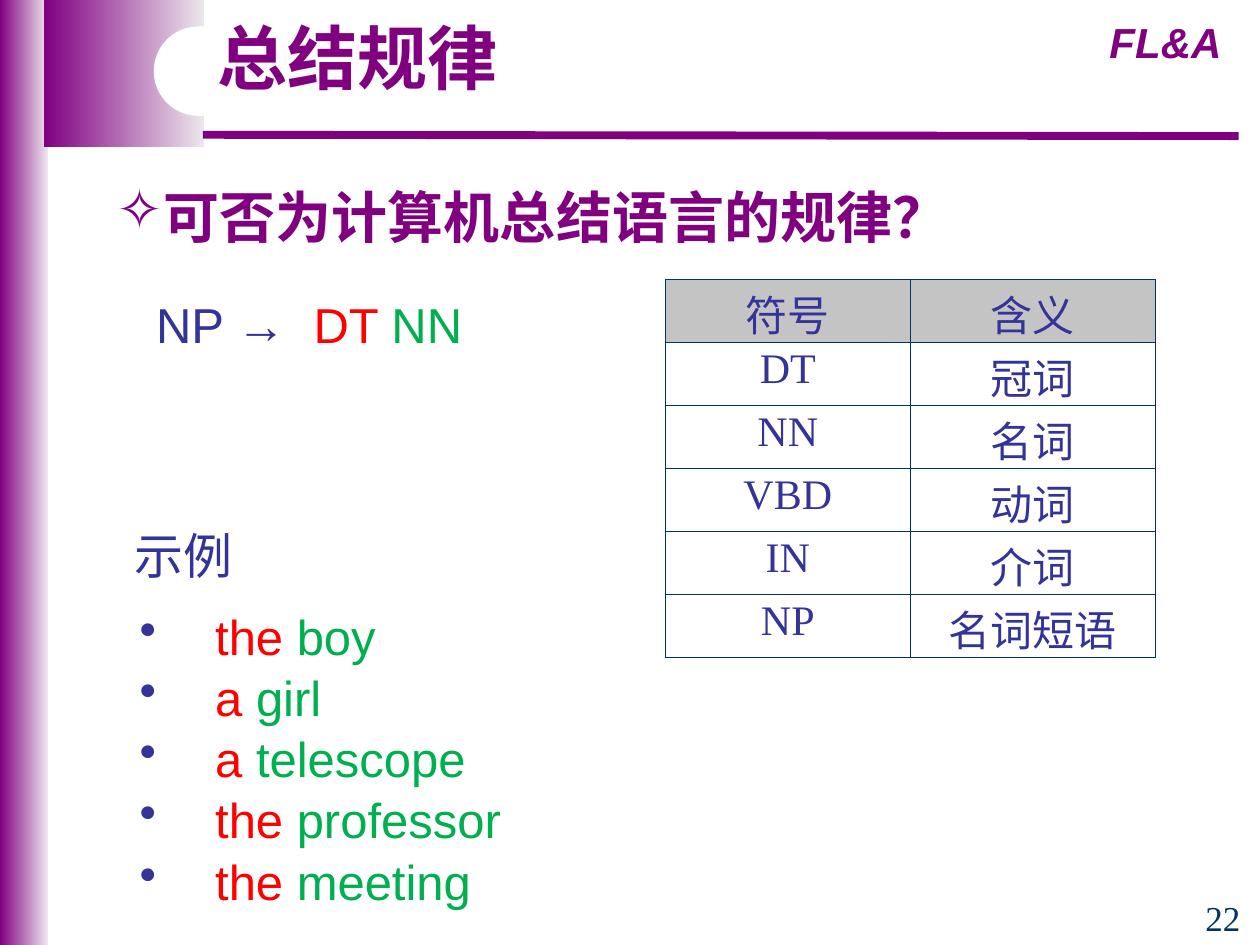
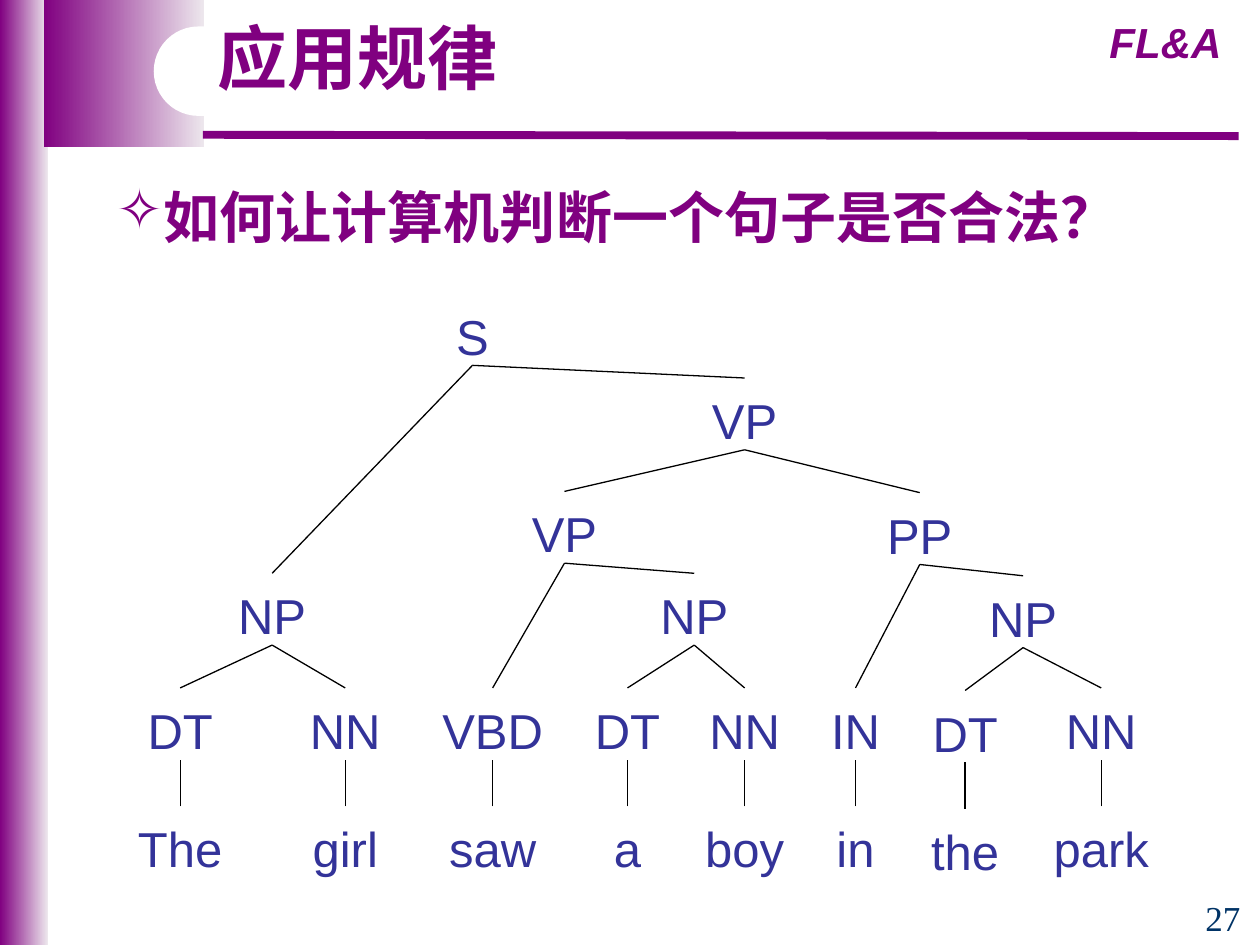
from dataclasses import dataclass
from typing import NamedTuple

from lxml.etree import SubElement
from pptx import Presentation
from pptx.dml.color import RGBColor
from pptx.enum.shapes import MSO_CONNECTOR, MSO_SHAPE
from pptx.enum.text import PP_ALIGN as Align
from pptx.oxml.ns import qn
from pptx.util import Inches, Pt


@dataclass(frozen=True)
class Theme:
    purple: str = "800080"
    pale: str = "EDE7ED"
    white: str = "FFFFFF"
    indigo: str = "333399"
    navy: str = "003366"
    red: str = "FF0000"
    green: str = "00B050"
    grey: str = "C4C4C4"
    black: str = "000000"
    sans: str = "Arial"
    serif: str = "Times New Roman"
    chinese: str = "Noto Sans CJK SC"
    title: int = 40
    heading: int = 32
    body: int = 28
    label: int = 24
    number: int = 20


THEME = Theme()


class Style(NamedTuple):
    size: int
    font: str
    color: str
    bold: bool = False
    italic: bool = False
    align: Align = Align.LEFT
    line_spacing: float = 1.0


class Span(NamedTuple):
    text: str
    color: str


class Area(NamedTuple):
    left: float
    top: float
    width: float
    height: float

    def lengths(self) -> list:
        return [Inches(value) for value in self]


class Node(NamedTuple):
    label: str
    x: float
    top: float
    children: tuple = ()


TITLE = Style(THEME.title, THEME.chinese, THEME.purple, bold=True, line_spacing=0.9)
HEADING = Style(THEME.heading, THEME.chinese, THEME.purple, bold=True)
COURSE = Style(THEME.label, THEME.sans, THEME.purple, True, True, Align.CENTER)
BODY = Style(THEME.body, THEME.sans, THEME.indigo)
TREE = BODY._replace(align=Align.CENTER)
EXAMPLE = Style(THEME.body, THEME.serif, THEME.indigo, align=Align.CENTER, line_spacing=0.9)
CELL = EXAMPLE._replace(size=THEME.label)
NUMBER = EXAMPLE._replace(size=THEME.number, color=THEME.navy)


def rgb(color: str) -> RGBColor:
    return RGBColor.from_string(color)


def style_paragraph(para, style: Style) -> None:
    para.alignment = style.align
    para.line_spacing = style.line_spacing
    font = para.font
    font.size, font.name = Pt(style.size), style.font
    font.bold, font.italic = style.bold, style.italic
    font.color.rgb = rgb(style.color)


def write_spans(para, spans: list[Span], style: Style) -> None:
    style_paragraph(para, style)
    for span in spans:
        run = para.add_run()
        run.text = span.text
        run.font.color.rgb = rgb(span.color)
        east_asian = SubElement(run.font._element, qn("a:ea"))
        east_asian.set("typeface", THEME.chinese)


def add_bullet(para, mark: str, color: str, indent: float) -> None:
    props = para._p.get_or_add_pPr()
    props.set("marL", str(Inches(indent)))
    props.set("indent", str(-Inches(indent)))
    bullet_color = SubElement(props, qn("a:buClr"))
    SubElement(bullet_color, qn("a:srgbClr")).set("val", color)
    SubElement(props, qn("a:buChar")).set("char", mark)


def add_tab(para, position: float) -> None:
    tabs = SubElement(para._p.get_or_add_pPr(), qn("a:tabLst"))
    tab = SubElement(tabs, qn("a:tab"))
    tab.set("pos", str(Inches(position)))
    tab.set("algn", "l")


def add_box(page, area: Area, inset: float = 0):
    box = page.shapes.add_textbox(*area.lengths())
    frame = box.text_frame
    frame.word_wrap = True
    frame.margin_top, frame.margin_bottom = Inches(inset), 0
    return box


def add_text(page, area: Area, text: str, style: Style, inset: float = 0):
    box = add_box(page, area, inset)
    write_spans(box.text_frame.paragraphs[0], [Span(text, style.color)], style)
    return box


def add_line(page, start: tuple, end: tuple, color: str, width: float):
    ends = [Inches(value) for value in (*start, *end)]
    line = page.shapes.add_connector(MSO_CONNECTOR.STRAIGHT, *ends)
    line.line.color.rgb = rgb(color)
    line.line.width = Pt(width)
    SubElement(line._element.spPr, qn("a:effectLst"))
    return line


def add_panel(page, kind: MSO_SHAPE, area: Area):
    panel = page.shapes.add_shape(kind, *area.lengths())
    panel.shadow.inherit = False
    panel.line.fill.background()
    return panel


def add_band(page, area: Area) -> None:
    fill = add_panel(page, MSO_SHAPE.RECTANGLE, area).fill
    fill.gradient()
    fill.gradient_angle = 0
    for stop, color in zip(fill.gradient_stops, (THEME.purple, THEME.pale)):
        stop.color.rgb = rgb(color)


def add_page(deck, title: str, heading: str, number: int):
    """Add a slide with the shared bands, title, heading and page number."""
    page = deck.slides.add_slide(deck.slide_layouts[6])
    add_band(page, Area(0, 0, 0.38, 7.5))
    add_band(page, Area(0.35, 0, 1.27, 1.17))
    add_line(page, (1.61, 1.07), (9.83, 1.08), THEME.purple, 4.5)
    add_text(page, Area(8.62, 0.13, 1.26, 0.42), "FL&A", COURSE)
    pill = add_panel(page, MSO_SHAPE.ROUNDED_RECTANGLE, Area(1.22, 0.21, 3.62, 0.71))
    pill.adjustments[0] = 0.5
    pill.fill.solid()
    pill.fill.fore_color.rgb = rgb(THEME.white)
    add_text(page, Area(1.63, 0.19, 4.24, 0.72), title, TITLE)
    box = add_box(page, Area(0.83, 1.45, 8.67, 0.64))
    para = box.text_frame.paragraphs[0]
    add_bullet(para, "✧", THEME.purple, 0.36)
    write_spans(para, [Span(heading, THEME.purple)], HEADING)
    add_text(page, Area(9.41, 7.15, 0.59, 0.33), str(number), NUMBER)
    return page


def add_borders(cell) -> None:
    props = cell._tc.get_or_add_tcPr()
    for side in ("lnL", "lnR", "lnT", "lnB"):
        border = SubElement(props, qn(f"a:{side}"))
        border.set("w", str(Pt(1)))
        fill = SubElement(border, qn("a:solidFill"))
        SubElement(fill, qn("a:srgbClr")).set("val", THEME.navy)


def add_symbol_table(page, rows: list[tuple], area: Area) -> None:
    table = page.shapes.add_table(len(rows), len(rows[0]), *area.lengths()).table
    table.first_row = table.horz_banding = False
    for row_index, row in enumerate(rows):
        for column_index, text in enumerate(row):
            cell = table.cell(row_index, column_index)
            cell.margin_top, cell.margin_bottom = Inches(0.06), 0
            add_borders(cell)
            if row_index == 0:
                cell.fill.solid()
                cell.fill.fore_color.rgb = rgb(THEME.grey)
            else:
                cell.fill.background()
            write_spans(cell.text_frame.paragraphs[0], [Span(text, CELL.color)], CELL)


def add_rule(page) -> None:
    box = add_box(page, Area(1.14, 2.34, 4, 0.49))
    para = box.text_frame.paragraphs[0]
    add_tab(para, 1.25)
    spans = [Span("NP →\t", THEME.indigo), Span("DT ", THEME.red), Span("NN", THEME.green)]
    write_spans(para, spans, BODY)


def add_examples(page, phrases: list[tuple]) -> None:
    frame = add_box(page, Area(1.01, 4.81, 6.3, 2.36)).text_frame
    for index, (article, noun) in enumerate(phrases):
        para = frame.add_paragraph() if index else frame.paragraphs[0]
        if index:
            para.space_before = Pt(1.4)
        add_bullet(para, "•", THEME.indigo, 0.6)
        write_spans(para, [Span(f"{article} ", THEME.red), Span(noun, THEME.green)], BODY)


def word_node(tag: str, word: str, x: float, drop: float = 0) -> Node:
    """A part of speech with its word below it."""
    return Node(tag, x, 5.46 + drop, (Node(word, x, 6.4 + drop),))


def add_tree(page, node: Node):
    """Draw a node and its subtree, joined by lines; return the node's box."""
    width, height = 1.14, 0.57
    area = Area(node.x - width / 2, node.top, width, height)
    box = add_text(page, area, node.label, TREE, inset=0.1)
    for child in node.children:
        child_box = add_tree(page, child)
        branch = add_line(page, (child.x, child.top), (node.x, node.top + height), THEME.black, 0.75)
        branch.begin_connect(child_box, 0)
        branch.end_connect(box, 2)
    return box


SYMBOLS = [
    ("符号", "含义"),
    ("DT", "冠词"),
    ("NN", "名词"),
    ("VBD", "动词"),
    ("IN", "介词"),
    ("NP", "名词短语"),
]
PHRASES = [
    ("the", "boy"),
    ("a", "girl"),
    ("a", "telescope"),
    ("the", "professor"),
    ("the", "meeting"),
]
SUBJECT = Node("NP", 2.16, 4.55, (word_node("DT", "The", 1.43), word_node("NN", "girl", 2.74)))
OBJECT = Node("NP", 5.51, 4.55, (word_node("DT", "a", 4.98), word_node("NN", "boy", 5.91)))
PLACE = Node("NP", 8.12, 4.57, (word_node("DT", "the", 7.66, 0.02), word_node("NN", "park", 8.74)))
ACTION = Node("VP", 4.48, 3.9, (word_node("VBD", "saw", 3.91), OBJECT))
LOCATION = Node("PP", 7.3, 3.91, (word_node("IN", "in", 6.79), PLACE))
SENTENCE = Node("S", 3.75, 2.33, (SUBJECT, Node("VP", 5.91, 3, (ACTION, LOCATION))))


def main() -> None:
    deck = Presentation()
    deck.slide_width, deck.slide_height = Inches(10), Inches(7.5)

    page = add_page(deck, "总结规律", "可否为计算机总结语言的规律？", 22)
    add_rule(page)
    add_symbol_table(page, SYMBOLS, Area(5.28, 2.22, 3.89, 3))
    add_examples(page, PHRASES)
    add_text(page, Area(0.28, 4.22, 2.36, 0.53), "示例", EXAMPLE)

    page = add_page(deck, "应用规律", "如何让计算机判断一个句子是否合法？", 27)
    add_tree(page, SENTENCE)

    deck.save("out.pptx")


if __name__ == "__main__":
    main()
